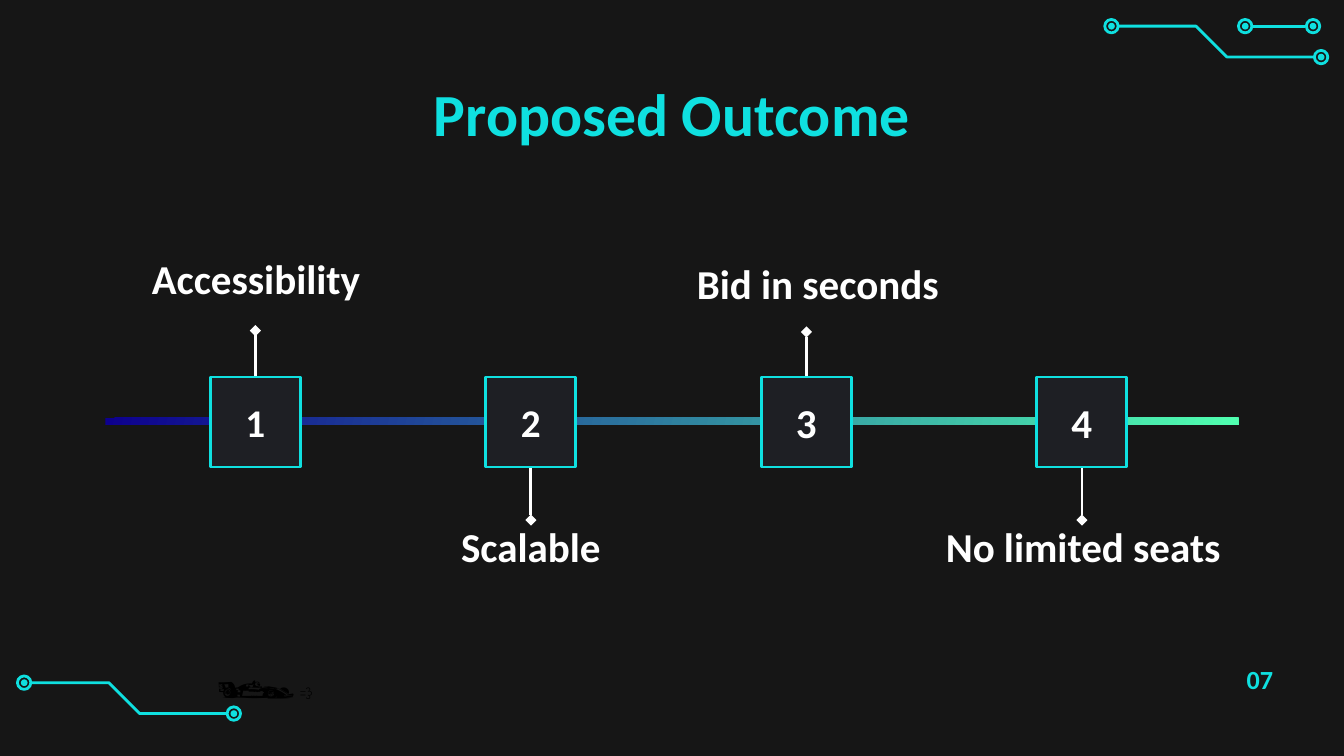
from lxml import etree
from pptx import Presentation
from pptx.dml.color import RGBColor
from pptx.enum.shapes import MSO_CONNECTOR as Connector, MSO_SHAPE as Preset
from pptx.enum.text import MSO_ANCHOR as Anchor, PP_ALIGN as Align
from pptx.oxml.ns import qn
from pptx.util import Inches, Pt

COLORS = {
    "night": "161616", "card": "1E1F24", "cyan": "0FE0E0", "white": "FFFFFF",
    "black": "000000", "navy": "0D008E", "mint": "50FFB0",
}
COLUMNS, ROWS = 100, 56.25
MILESTONES = [
    ("1", 21, "Accessibility", (7.1, 18.8, 23.9, 3.8), 24.6),
    ("2", 21, "Scalable", (28.3, 38.7, 22.4, 3.8), 38.7),
    ("3", 22, "Bid in seconds", (48.2, 19, 25.3, 4.1), 24.7),
    ("4", 22, "No limited seats", (65.1, 38.7, 31, 3.8), 38.7),
]


def color(name):
    return RGBColor.from_string(COLORS[name])


def write(shape, *spans, size=22, hue="white", font="Calibri", bold=True,
          align=Align.CENTER, anchor=Anchor.MIDDLE, inset=1):
    """Write spans, given as text or (text, size), into one paragraph."""
    frame = shape.text_frame
    frame.word_wrap = True
    frame.vertical_anchor = anchor
    frame.margin_left = frame.margin_right = Inches(0.1)
    frame.margin_top = frame.margin_bottom = Inches(inset / 10)
    para = frame.paragraphs[0]
    para.alignment = align
    for item in spans:
        text, points = item if isinstance(item, tuple) else (item, size)
        span = para.add_run()
        span.text = text
        span.font.name, span.font.size, span.font.bold = font, Pt(points), bold
        span.font.color.rgb = color(hue)


class Painter:
    """Draws elements on the current slide, measured in grid columns and rows."""

    def __init__(self, deck, stroke=1.5):
        self.page = deck.slides.add_slide(deck.slide_layouts[6])
        self.shapes = self.page.shapes
        self.stroke = Pt(stroke)
        self.column = deck.slide_width / COLUMNS
        self.row = deck.slide_height / ROWS
        self.page.background.fill.solid()
        self.page.background.fill.fore_color.rgb = color("night")

    def place(self, *lengths):
        return [round(length * (self.row if index % 2 else self.column))
                for index, length in enumerate(lengths)]

    def outline(self, shape, hue):
        shape.line.color.rgb = color(hue)
        shape.line.width = self.stroke

    def text(self, area, *spans, **style):
        write(self.shapes.add_textbox(*self.place(*area)), *spans, **style)

    def shape(self, preset, area, fill=None, line=None):
        shape = self.shapes.add_shape(preset, *self.place(*area))
        shape.shadow.inherit = False
        if fill:
            shape.fill.solid()
            shape.fill.fore_color.rgb = color(fill)
        else:
            shape.fill.background()
        if line:
            self.outline(shape, line)
        else:
            shape.line.fill.background()
        return shape

    def gradient_bar(self, area, start, end, angle):
        bar = self.shape(Preset.RECTANGLE, area)
        bar.fill.gradient()
        bar.fill.gradient_angle = angle
        for stop, hue, position in zip(bar.fill.gradient_stops, (start, end), (0, 1)):
            stop.color.rgb = color(hue)
            stop.position = position

    def line(self, start, end, hue, tip=None):
        line = self.shapes.add_connector(
            Connector.STRAIGHT, *self.place(*start), *self.place(*end))
        self.outline(line, hue)
        if tip:
            stroke = line.line._get_or_add_ln()
            etree.SubElement(stroke, qn("a:tailEnd"), type=tip)
        etree.SubElement(line._element.spPr, qn("a:effectLst"))

    def node(self, x, y):
        for size, style in ((1, {"line": "cyan"}), (0.5, {"fill": "cyan"})):
            area = (x - size / 2, y - size / 2, size, size)
            self.shape(Preset.OVAL, area, **style)

    def circuit(self, x, y):
        bends = [(0.5, 0), (6.3, 0), (8.6, 2.3), (15.1, 2.3)]
        points = [self.place(x + across, y + down) for across, down in bends]
        builder = self.shapes.build_freeform(*points[0])
        builder.add_line_segments(points[1:], close=False)
        trace = builder.convert_to_shape()
        trace.shadow.inherit = False
        trace.fill.background()
        self.outline(trace, "cyan")
        self.node(x, y)
        self.node(x + 15.6, y + 2.3)

    def milestone(self, index, number, size, tip):
        left, top, side = 15.65 + 20.5 * index, 28.05, 6.7
        middle = left + side / 2
        edge = top if tip < top else top + side
        self.line((middle, edge), (middle, tip), "white", "diamond")
        box = self.shape(Preset.RECTANGLE, (left, top, side, side), "card", "cyan")
        write(box, number, size=size)


def main():
    deck = Presentation()
    deck.slide_width = Inches(10)
    deck.slide_height = deck.slide_width * 9 // 16
    painter = Painter(deck)

    painter.circuit(82.7, 1.95)
    for x in (92.65, 97.7):
        painter.node(x, 1.95)
    painter.line((93.2, 1.95), (97.1, 1.95), "cyan")
    painter.circuit(1.8, 50.8)

    painter.text((7.85, 5.9, 84.3, 5), "Proposed Outcome", size=32, hue="cyan")
    painter.gradient_bar((7.85, 31.1, 84.3, 0.5), "navy", "mint", 345)
    for index, (number, size, label, area, tip) in enumerate(MILESTONES):
        painter.text(area, label)
        painter.milestone(index, number, size, tip)

    painter.text((88.2, 48.9, 11.1, 6.5), "07", size=14, hue="cyan",
                 anchor=Anchor.TOP, inset=0.5)
    painter.text((14.9, 46.4, 18, 7.1), ("🏎️", 36), ("💨", 7), hue="black",
                 font="Arial", bold=False, align=Align.LEFT,
                 anchor=Anchor.TOP, inset=0.5)
    deck.save("out.pptx")


if __name__ == "__main__":
    main()
